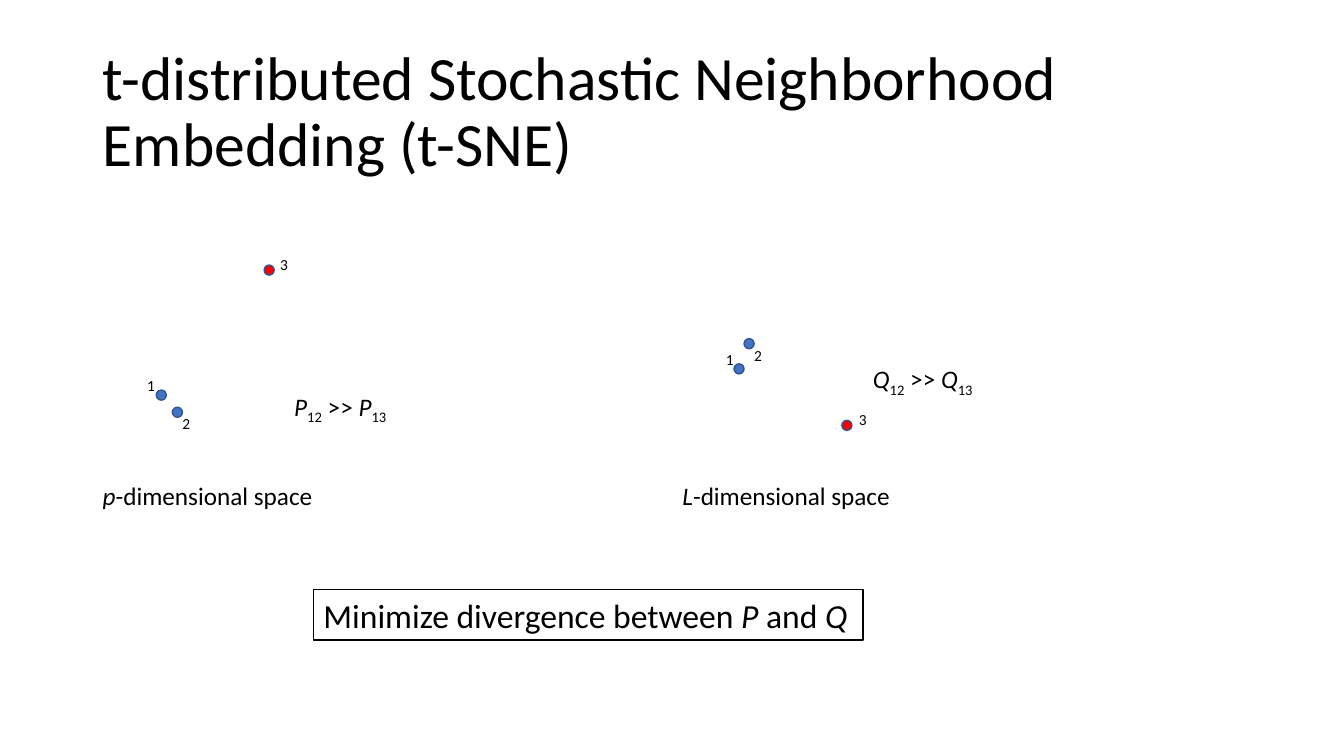
from pptx import Presentation
from pptx.dml.color import RGBColor
from pptx.enum.shapes import MSO_SHAPE as Shape
from pptx.enum.text import MSO_ANCHOR as Anchor, MSO_AUTO_SIZE as Fit, PP_ALIGN as Align
from pptx.util import Inches, Pt

BLACK = RGBColor(0x00, 0x00, 0x00)
BLUE = RGBColor(0x44, 0x72, 0xC4)
EDGE = RGBColor(0x32, 0x54, 0x91)
RED = RGBColor(0xFF, 0x00, 0x00)
DOT = 0.1

deck = Presentation()
deck.slide_width, deck.slide_height = Inches(13.33), Inches(7.5)
slide = deck.slides.add_slide(deck.slide_layouts[5])


def write(frame, size, runs):
    """Fill a frame with (text, style) runs; style is "", "italic" or "sub"."""
    para = frame.paragraphs[0]
    para.alignment = Align.LEFT
    for text, style in runs:
        run = para.add_run()
        run.text = text
        font = run.font
        font.name, font.size = "Calibri", Pt(size)
        font.color.rgb = BLACK
        font.italic = style == "italic"
        if style == "sub":
            font._element.set("baseline", "-25000")
    return para


def label(left, top, width, height, size, runs):
    box = slide.shapes.add_textbox(*map(Inches, (left, top, width, height)))
    box.text_frame.word_wrap = False
    box.text_frame.auto_size = Fit.SHAPE_TO_FIT_TEXT
    write(box.text_frame, size, runs)
    return box


# Title
title = slide.shapes.title
title.left, title.top = Inches(0.92), Inches(0.4)
title.width, title.height = Inches(11.5), Inches(1.45)
frame = title.text_frame
frame.word_wrap, frame.auto_size = True, Fit.NONE
frame.vertical_anchor = Anchor.MIDDLE
head = write(frame, 44, [("t-distributed Stochastic Neighborhood Embedding (t-SNE)", "")])
head.line_spacing = 0.9

# Two spaces: axis name, caption place, formula letter and place,
# then the dot and number places of points 1 to 3
spaces = [
    ("p", 0.92, 2.31, "P", 2.82, 3.83, 1.17,
     [(1.55, 3.87, 1.36, 3.68), (1.71, 4.04, 1.71, 4.06), (2.62, 2.63, 2.68, 2.48)]),
    ("L", 6.67, 2.28, "Q", 8.56, 3.56, 1.25,
     [(7.28, 3.61, 7.1, 3.42), (7.38, 3.36, 7.38, 3.38), (8.35, 4.17, 8.42, 4.02)]),
]
for name, left, width, sign, sign_x, sign_y, sign_w, points in spaces:
    for num, (x, y, num_x, num_y) in enumerate(points, 1):
        dot = slide.shapes.add_shape(Shape.OVAL, *map(Inches, (x, y, DOT, DOT)))
        dot.shadow.inherit = False
        dot.fill.solid()
        dot.fill.fore_color.rgb = RED if num == 3 else BLUE
        dot.line.color.rgb, dot.line.width = EDGE, Pt(1)
        label(num_x, num_y, 0.28, 0.29, 11, [(str(num), "")])
    label(left, 4.72, width, 0.4, 18, [(name, "italic"), ("-dimensional space", "")])
    label(sign_x, sign_y, sign_w, 0.4, 18,
          [(sign, "italic"), ("12", "sub"), (" >> ", ""), (sign, "italic"), ("13", "sub")])

# Framed goal
goal = label(3.11, 5.85, 5.45, 0.5, 24,
             [("Minimize divergence between ", ""), ("P", "italic"),
              (" and ", ""), ("Q", "italic")])
goal.text_frame.word_wrap = True
goal.line.color.rgb, goal.line.width = BLACK, Pt(0.75)

deck.save("out.pptx")
